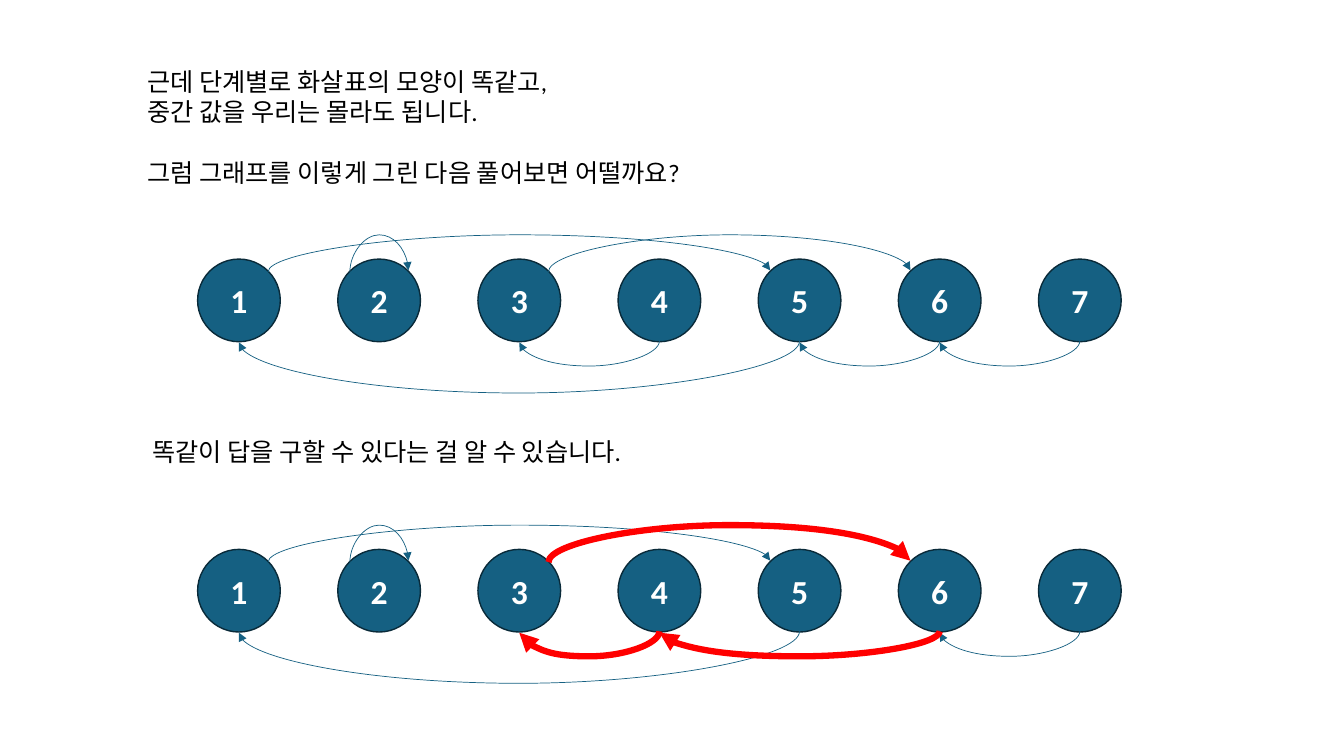
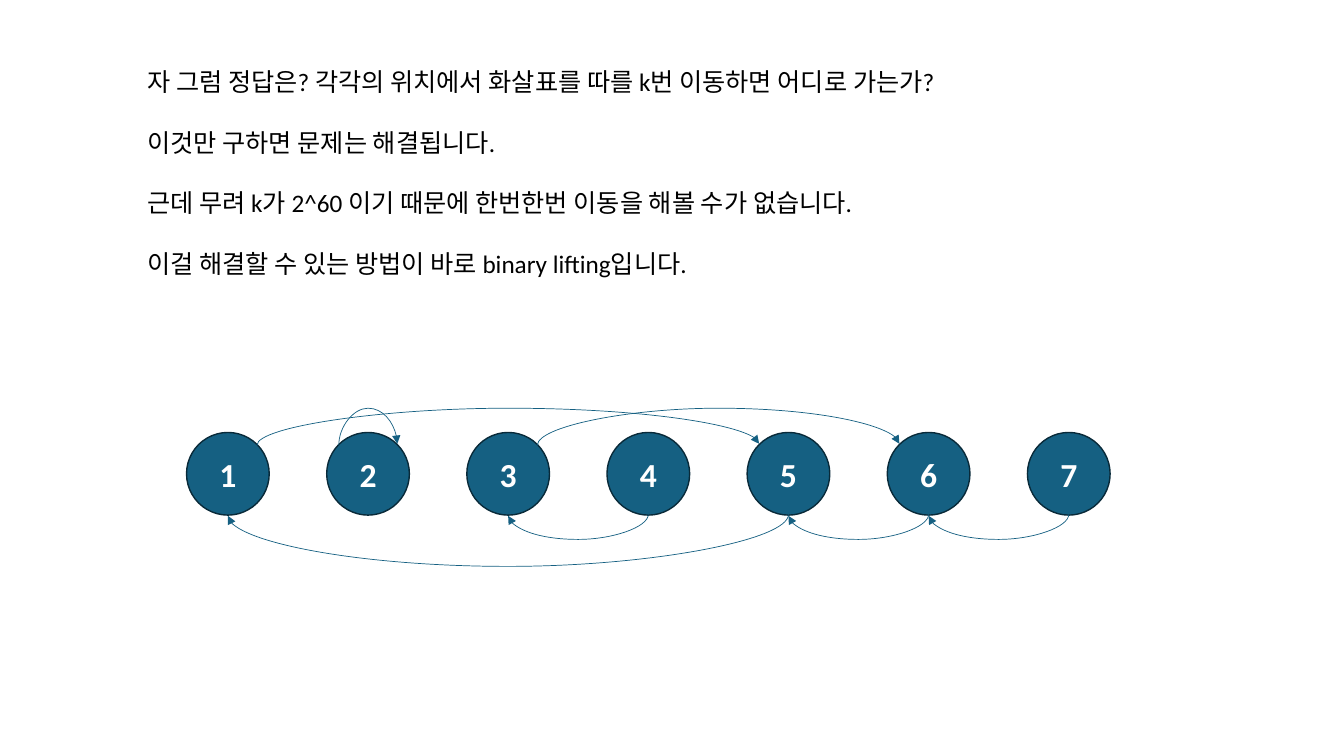
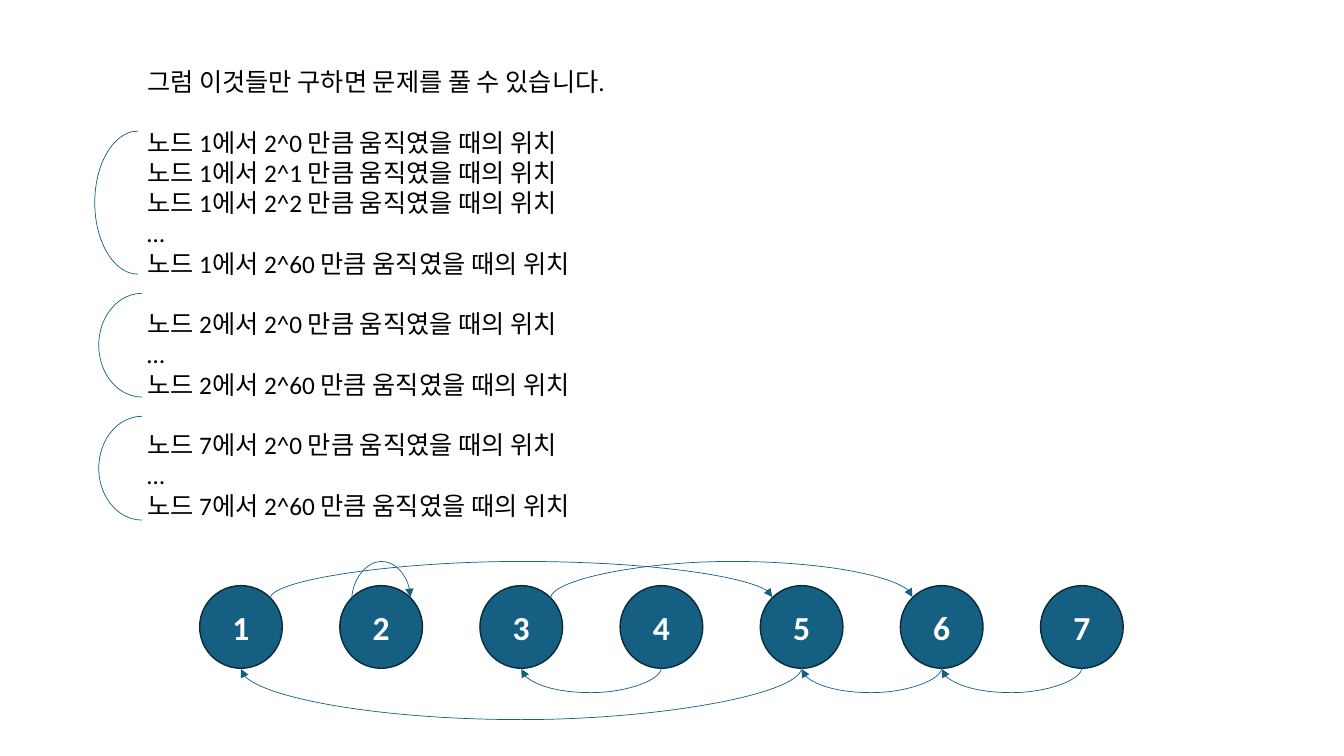
from dataclasses import dataclass
from lxml.etree import SubElement
from pptx import Presentation
from pptx.dml.color import RGBColor
from pptx.enum.shapes import MSO_CONNECTOR, MSO_SHAPE
from pptx.enum.text import MSO_ANCHOR, MSO_AUTO_SIZE, PP_ALIGN
from pptx.oxml.ns import qn
from pptx.util import Inches, Pt


@dataclass(frozen=True)
class Theme:
    font: str = "Calibri"
    ink: str = "000000"
    white: str = "FFFFFF"
    node: str = "156082"
    rim: str = "092A39"
    hot: str = "FF0000"
    text: int = 18
    label: int = 24
    thin: float = 0.5
    thick: float = 4.5


T = Theme()

# Content: a graph is left, top, arcs; an arc is start node, end node, depth.
# Positive depth bends below the nodes, negative depth bends above.
OVER = [(1, 5, -0.37), (2, 2, -0.37), (3, 6, -0.37)]
UNDER = [(4, 3, 0.25), (5, 1, 0.52), (7, 6, 0.25)]
ARCS = OVER + UNDER + [(6, 5, 0.25)]
ROUTE = OVER + UNDER + [(6, 4, 0.25)]
RED = {(3, 6), (4, 3), (6, 4)}


def moves(node, powers):
    return [f"노드 {node}에서 2^{n} 만큼 움직였을 때의 위치" if n != "…" else n
            for n in powers]


SLIDES = [
    {"title": ["근데 단계별로 화살표의 모양이 똑같고,",
               "중간 값을 우리는 몰라도 됩니다."],
     "body": [["그럼 그래프를 이렇게 그린 다음 풀어보면 어떨까요?"]],
     "note": "똑같이 답을 구할 수 있다는 걸 알 수 있습니다.",
     "graphs": [(1.96, 2.57, ARCS, ()), (1.96, 5.45, ROUTE, RED)]},
    {"title": ["자 그럼 정답은? 각각의 위치에서 화살표를 따를 k번 이동하면 어디로 가는가?"],
     "body": [["이것만 구하면 문제는 해결됩니다."],
              ["근데 무려 k가 2^60 이기 때문에 한번한번 이동을 해볼 수가 없습니다."],
              ["이걸 해결할 수 있는 방법이 바로 binary lifting입니다."]],
     "graphs": [(1.85, 4.29, ARCS, ())]},
    {"title": ["그럼 이것들만 구하면 문제를 풀 수 있습니다."],
     "body": [moves(1, [0, 1, 2, "…", 60]),
              moves(2, [0, "…", 60]),
              moves(7, [0, "…", 60])],
     "graphs": [(1.98, 5.81, ARCS, ())],
     "braces": [(0.94, 1.3, 1.42), (0.98, 2.91, 1.03), (0.98, 4.13, 1.03)]},
]

# Grid
LEFT, TOP, WIDE = 1.36, 0.61, 10.61
ROW, PAD = 0.3, 0.1
SIZE, STEP, COUNT = 0.82, 1.39, 7
EDGE = 0.5 ** 1.5  # share of a circle's size from its centre to a diagonal site
THIN_BOX = Pt(1)


def rgb(code):
    return RGBColor.from_string(code)


def write(shape, groups, size=T.text, color=T.ink, bold=False,
          align=PP_ALIGN.LEFT, anchor=MSO_ANCHOR.TOP):
    """Fill a shape with groups of lines, one empty row between groups."""
    frame = shape.text_frame
    frame.word_wrap = True
    frame.auto_size = MSO_AUTO_SIZE.NONE
    frame.vertical_anchor = anchor
    lines = [(line, g > 0 and i == 0)
             for g, group in enumerate(groups) for i, line in enumerate(group)]
    for n, (line, gap) in enumerate(lines):
        para = frame.add_paragraph() if n else frame.paragraphs[0]
        para.alignment = align
        para.space_before = Pt(ROW * 72 if gap else 0)
        run = para.add_run()
        run.text = line
        font = run.font
        font.name, font.size, font.bold = T.font, Pt(size), bold
        font.color.rgb = rgb(color)
        props = para._p.get_or_add_pPr()
        props.set("marL", "0")
        props.set("indent", "0")
        SubElement(props, qn("a:buNone"))


def place(shape, left, top, width, height):
    shape.left, shape.top = Inches(left), Inches(top)
    shape.width, shape.height = Inches(width), Inches(height)


def stroke(shape, color, width):
    shape.line.color.rgb = rgb(color)
    shape.line.width = Pt(width)


def add_node(slide, num, left, top):
    node = slide.shapes.add_shape(MSO_SHAPE.OVAL, Inches(left), Inches(top),
                                  Inches(SIZE), Inches(SIZE))
    node.shadow.inherit = False
    node.fill.solid()
    node.fill.fore_color.rgb = rgb(T.node)
    stroke(node, T.rim, 1)
    write(node, [[str(num)]], size=T.label, color=T.white, bold=True,
          align=PP_ALIGN.CENTER, anchor=MSO_ANCHOR.MIDDLE)
    return node


def add_arc(slide, nodes, arc, color, width):
    start, end, depth = arc
    up = depth < 0
    a, b = nodes[start], nodes[end]
    mid = Inches(SIZE / 2)
    reach = Inches(SIZE * EDGE) if up else 0
    side = -1 if start == end else 1  # a loop leaves on the left
    x1 = a.left + mid + side * reach
    x2 = b.left + mid - side * reach
    y = a.top + mid + (-reach if up else mid)
    span = abs(x2 - x1)

    # The unrotated box is a tall sliver, turned by a quarter
    left = (x1 + x2 - THIN_BOX) // 2
    top = y - span // 2
    line = slide.shapes.add_connector(MSO_CONNECTOR.CURVE, left, top,
                                      left + THIN_BOX, top + span)
    stroke(line, color, width)
    el = line.element
    frame = el.find(".//" + qn("a:xfrm"))
    frame.set("rot", "5400000")
    if up:
        frame.set("flipH", "1")
        frame.set("flipV", "1")
    bend = round(Inches(abs(depth)) / THIN_BOX * 100000)
    SubElement(el.find(".//" + qn("a:avLst")), qn("a:gd"),
               name="adj1", fmla=f"val {bend}")
    SubElement(el.find(".//" + qn("a:ln")), qn("a:tailEnd"), type="triangle")
    SubElement(el.spPr, qn("a:effectLst"))

    # Glue both ends: sites 1, 4 and 7 are top left, bottom and top right
    sites = ((1, 7) if start == end else (7, 1)) if up else (4, 4)
    glue = el.find(".//" + qn("p:cNvCxnSpPr"))
    for tag, node, site in zip(("a:stCxn", "a:endCxn"), (a, b), sites):
        SubElement(glue, qn(tag), id=str(node.shape_id), idx=str(site))


def add_graph(slide, left, top, arcs, hot):
    nodes = {n: add_node(slide, n, left + (n - 1) * STEP, top)
             for n in range(1, COUNT + 1)}
    for arc in arcs:
        red = arc[:2] in hot
        add_arc(slide, nodes, arc, T.hot if red else T.node,
                T.thick if red else T.thin)


def add_brace(slide, left, top, height):
    brace = slide.shapes.add_shape(MSO_SHAPE.LEFT_BRACKET, Inches(left), Inches(top),
                                   Inches(0.43), Inches(height))
    brace.adjustments[0] = 1.67
    brace.shadow.inherit = False
    brace.fill.background()
    stroke(brace, T.node, T.thin)


def add_slide(deck, data):
    slide = deck.slides.add_slide(deck.slide_layouts[1])
    title, body = slide.placeholders
    head = len(data["title"])
    rows = sum(len(group) + 1 for group in data["body"]) - 1
    place(title, LEFT, TOP, WIDE, head * ROW + PAD)
    write(title, [data["title"]])
    place(body, LEFT, TOP + (head + 1) * ROW, WIDE, rows * ROW + PAD)
    write(body, data["body"])
    if "note" in data:
        note = slide.shapes.add_textbox(0, 0, 0, 0)
        place(note, 1.41, 4.28, 6.67, ROW + PAD)
        write(note, [[data["note"]]])
    for graph in data["graphs"]:
        add_graph(slide, *graph)
    for brace in data.get("braces", []):
        add_brace(slide, *brace)


def main():
    deck = Presentation()
    deck.slide_width, deck.slide_height = Inches(13.33), Inches(7.5)
    for data in SLIDES:
        add_slide(deck, data)
    deck.save("out.pptx")


if __name__ == "__main__":
    main()
